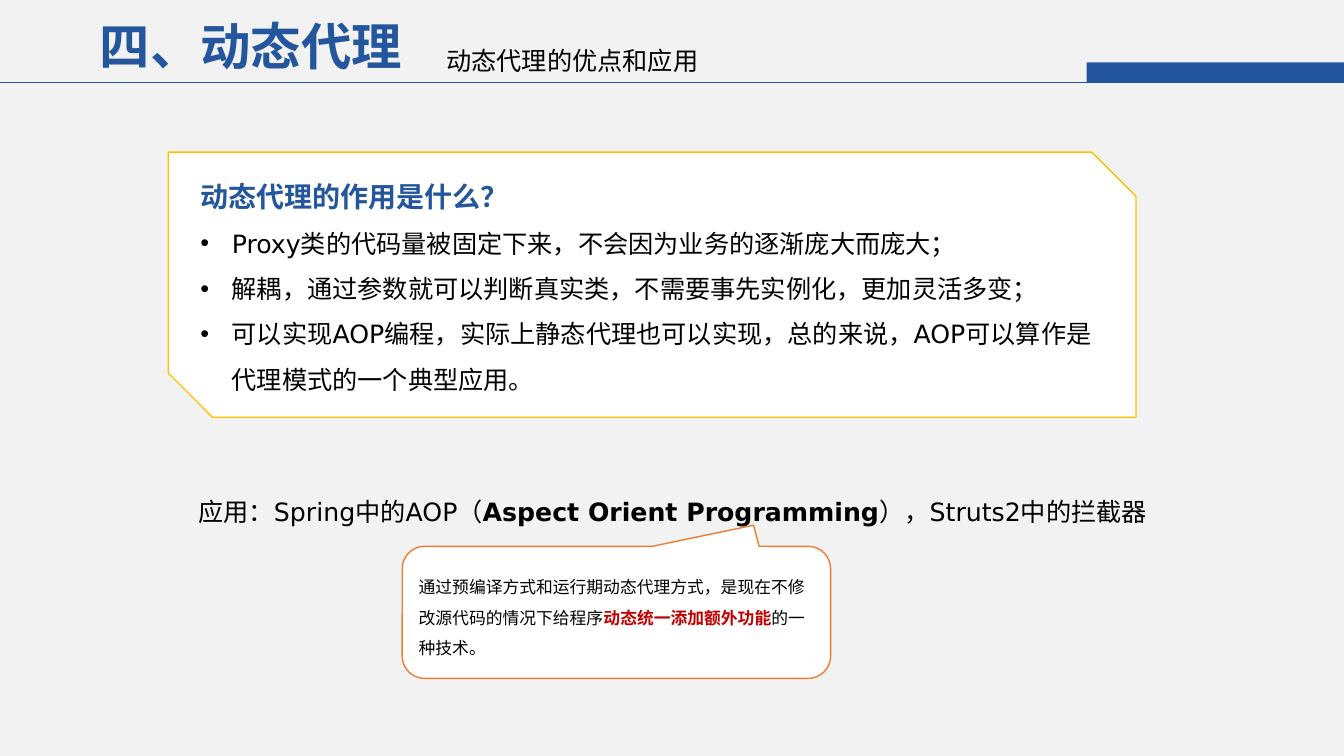
from dataclasses import dataclass
from lxml.etree import SubElement
from pptx import Presentation
from pptx.dml.color import RGBColor
from pptx.enum.lang import MSO_LANGUAGE_ID
from pptx.enum.shapes import MSO_CONNECTOR, MSO_SHAPE
from pptx.enum.text import MSO_ANCHOR, MSO_AUTO_SIZE, PP_ALIGN
from pptx.oxml.ns import qn
from pptx.shapes.autoshape import Shape
from pptx.slide import Slide
from pptx.util import Pt


@dataclass(frozen=True)
class Theme:
    font: str = "DejaVu Sans"
    background: str = "F2F2F2"
    panel: str = "FFFFFF"
    blue: str = "24569D"
    black: str = "000000"
    red: str = "C00000"
    gold: str = "FFC000"
    orange: str = "ED7D31"
    title: int = 36
    heading: int = 20
    body: int = 18
    note: int = 12


THEME = Theme()
SLIDE_WIDTH, SLIDE_HEIGHT = 960, 540
RULE_TOP = 59.04


@dataclass(frozen=True)
class Box:
    left: float
    top: float
    width: float
    height: float

    def lengths(self) -> tuple[Pt, Pt, Pt, Pt]:
        return Pt(self.left), Pt(self.top), Pt(self.width), Pt(self.height)


@dataclass(frozen=True)
class Span:
    text: str
    size: int = THEME.body
    color: str = THEME.black
    bold: bool = False


@dataclass(frozen=True)
class Line:
    spans: tuple[Span, ...]
    spacing: float = 1.0
    bullet: bool = False


@dataclass(frozen=True)
class Label:
    box: Box
    line: Line
    wrap: bool = False


ADVANTAGES = (
    "Proxy类的代码量被固定下来，不会因为业务的逐渐庞大而庞大；",
    "解耦，通过参数就可以判断真实类，不需要事先实例化，更加灵活多变；",
    "可以实现AOP编程，实际上静态代理也可以实现，总的来说，AOP可以算作是代理模式的一个典型应用。",
)

LABELS = (
    Label(Box(64.08, 7.2, 232.56, 51.12),
          Line((Span("四、动态代理", THEME.title, THEME.blue, True),))),
    Label(Box(311.76, 28.8, 196.56, 28.8), Line((Span("动态代理的优点和应用"),))),
    Label(Box(134.64, 350.64, 756, 28.8),
          Line((Span("应用：Spring中的AOP（"),
                Span("Aspect Orient Programming", bold=True),
                Span("），Struts2中的拦截器"))), wrap=True),
)

PURPOSE = (
    Line((Span("动态代理的作用是什么？", THEME.heading, THEME.blue, True),)),
    *(Line((Span(text),), 1.5, True) for text in ADVANTAGES),
)

AOP_NOTE = (
    Line((Span("通过预编译方式和运行期动态代理方式，是现在不修改源代码的情况下给程序", THEME.note),
          Span("动态统一添加额外功能", THEME.note, THEME.red, True),
          Span("的一种技术。", THEME.note)), 1.5),
)


def rgb(value: str) -> RGBColor:
    return RGBColor.from_string(value)


def write(shape: Shape, lines: tuple[Line, ...], wrap: bool = True,
          anchor: MSO_ANCHOR = MSO_ANCHOR.TOP) -> None:
    frame = shape.text_frame
    frame.word_wrap = wrap
    frame.vertical_anchor = anchor
    frame.auto_size = MSO_AUTO_SIZE.NONE
    for index, line in enumerate(lines):
        paragraph = frame.add_paragraph() if index else frame.paragraphs[0]
        paragraph.alignment = PP_ALIGN.LEFT
        paragraph.line_spacing = line.spacing
        if line.bullet:
            properties = paragraph._p.get_or_add_pPr()
            properties.set("marL", str(Pt(22.5)))
            properties.set("indent", str(-Pt(22.5)))
            SubElement(properties, qn("a:buFont"), typeface="Arial")
            SubElement(properties, qn("a:buChar"), char="•")
        for span in line.spans:
            run = paragraph.add_run()
            run.text = span.text
            run.font.size = Pt(span.size)
            run.font.bold = span.bold
            run.font.color.rgb = rgb(span.color)
            run.font.language_id = MSO_LANGUAGE_ID.SIMPLIFIED_CHINESE
            run.font.name = THEME.font
            SubElement(run._r.get_or_add_rPr(), qn("a:ea"), typeface=THEME.font)


def add_label(slide: Slide, label: Label) -> None:
    write(slide.shapes.add_textbox(*label.box.lengths()), (label.line,), label.wrap)


def add_panel(slide: Slide, kind: MSO_SHAPE, box: Box, fill: str,
              outline: str | None = None) -> Shape:
    panel = slide.shapes.add_shape(kind, *box.lengths())
    panel.shadow.inherit = False
    panel.fill.solid()
    panel.fill.fore_color.rgb = rgb(fill)
    if outline:
        panel.line.color.rgb = rgb(outline)
        panel.line.width = Pt(1)
    else:
        panel.line.fill.background()
    return panel


def add_header_rule(slide: Slide) -> None:
    bar = Box(776.16, RULE_TOP - 14.4, SLIDE_WIDTH - 776.16, 14.4)
    add_panel(slide, MSO_SHAPE.RECTANGLE, bar, THEME.blue)
    rule = slide.shapes.add_connector(
        MSO_CONNECTOR.STRAIGHT, Pt(0), Pt(RULE_TOP), Pt(SLIDE_WIDTH), Pt(RULE_TOP))
    rule.line.color.rgb = rgb(THEME.blue)
    rule.line.width = Pt(0.5)
    SubElement(rule._element.spPr, qn("a:effectLst"))


def main() -> None:
    presentation = Presentation()
    presentation.slide_width = Pt(SLIDE_WIDTH)
    presentation.slide_height = Pt(SLIDE_HEIGHT)
    slide = presentation.slides.add_slide(presentation.slide_layouts[6])
    slide.background.fill.solid()
    slide.background.fill.fore_color.rgb = rgb(THEME.background)

    add_header_rule(slide)
    for label in LABELS:
        add_label(slide, label)

    purpose = add_panel(slide, MSO_SHAPE.SNIP_2_DIAG_RECTANGLE,
                        Box(120.24, 108.72, 691.2, 189.36), THEME.panel, THEME.gold)
    write(purpose, PURPOSE)

    callout = add_panel(slide, MSO_SHAPE.ROUNDED_RECTANGULAR_CALLOUT,
                        Box(287.28, 390.24, 306, 94.32), THEME.panel, THEME.orange)
    for index, value in enumerate((0.32, -0.66, 0.17)):
        callout.adjustments[index] = value
    write(callout, AOP_NOTE, anchor=MSO_ANCHOR.MIDDLE)

    presentation.save("out.pptx")


if __name__ == "__main__":
    main()
